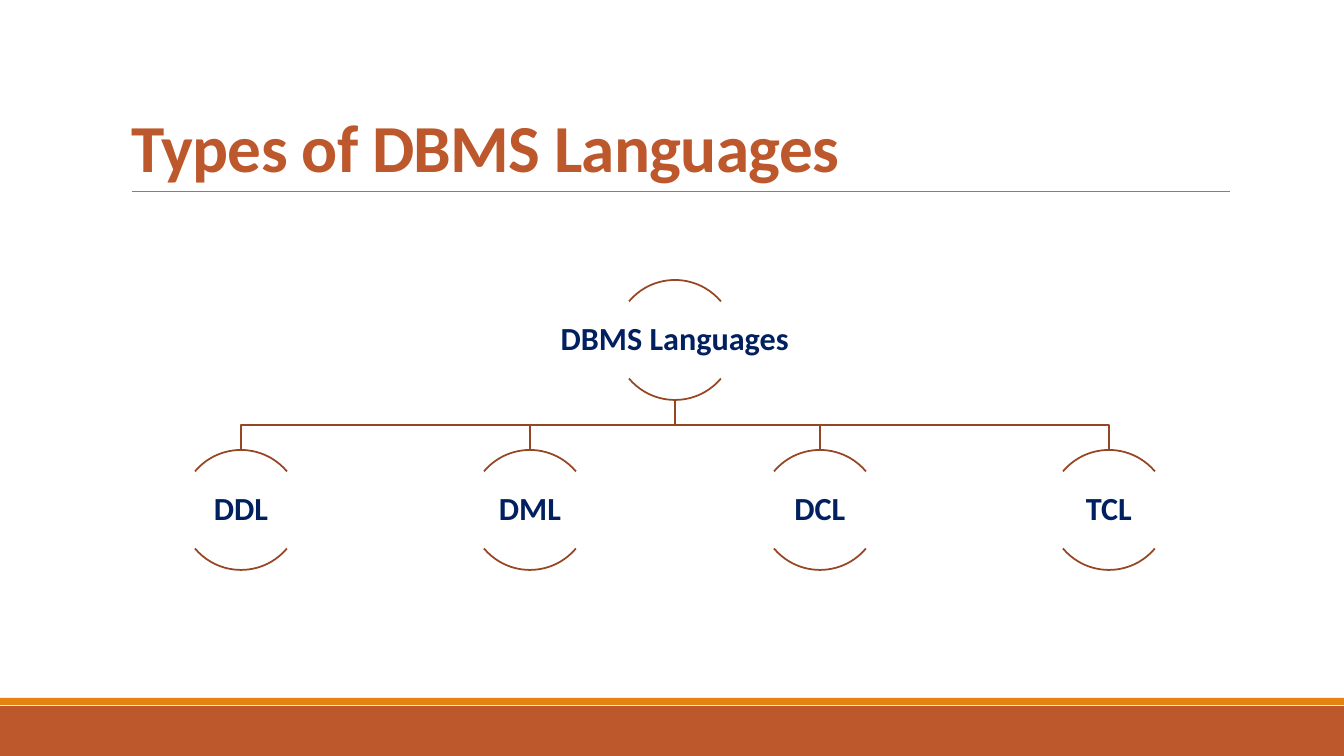
"""Build the slide showing the types of DBMS languages as a tree."""
from pptx import Presentation
from pptx.dml.color import RGBColor
from pptx.enum.shapes import MSO_CONNECTOR, MSO_SHAPE
from pptx.enum.text import MSO_ANCHOR, MSO_AUTO_SIZE, PP_ALIGN
from pptx.util import Emu, Pt
from lxml.etree import SubElement

SCALE = 914400 / 100.8
NS = "{http://schemas.openxmlformats.org/drawingml/2006/main}"
RUST, BROWN, NAVY = "BD582C", "974623", "002060"
CIRCLE, ROOT_X, ROOT_Y, CHILD_Y, STEP = 120, 675, 280, 450, 289.4


def px(*values):
    return [Emu(round(v * SCALE)) for v in values]


def rgb(color):
    return RGBColor.from_string(color)


prs = Presentation()
prs.slide_width, prs.slide_height = px(1344, 756)
s = prs.slides.add_slide(prs.slide_layouts[5])

for top, height, color in [(706, 50, RUST), (698, 7, "E48312")]:
    sp = s.shapes.add_shape(MSO_SHAPE.RECTANGLE, *px(0, top, 1344, height))
    sp.shadow.inherit = False
    sp.fill.solid()
    sp.fill.fore_color.rgb = rgb(color)
    sp.line.fill.background()

rule = s.shapes.add_connector(MSO_CONNECTOR.STRAIGHT, *px(132, 191, 1230, 191))
rule.line.color.rgb = rgb("808080")
rule.line.width = Pt(0.5)
SubElement(rule._element.spPr, NS + "effectLst")

title = s.shapes.title
title.left, title.top, title.width, title.height = px(121, 31, 1109, 160)
tf = title.text_frame
tf.auto_size = MSO_AUTO_SIZE.NONE
tf.vertical_anchor = MSO_ANCHOR.BOTTOM
p = tf.paragraphs[0]
p.alignment = PP_ALIGN.LEFT
p.line_spacing = 0.85
r = p.add_run()
r.text = "Types of DBMS Languages"
r.font.name, r.font.size, r.font.bold = "Calibri", Pt(48), True
r.font.color.rgb = rgb(RUST)
r._r.get_or_add_rPr().set("spc", "-50")

children = [(name, round(ROOT_X + (i - 1.5) * STEP), CHILD_Y)
            for i, name in enumerate(["DDL", "DML", "DCL", "TCL"])]
tree = s.shapes.add_group_shape()

root_bottom = ROOT_Y + CIRCLE
middle = (root_bottom + CHILD_Y) // 2
for name, x, y in reversed(children):
    fb = tree.shapes.build_freeform(ROOT_X, root_bottom, scale=SCALE)
    fb.add_line_segments([(ROOT_X, middle), (x, middle), (x, y)], close=False)
    branch = fb.convert_to_shape()
    branch.shadow.inherit = False
    branch.fill.background()
    branch.line.color.rgb = rgb(BROWN)
    branch.line.width = Pt(1.25)

for name, x, y in [("DBMS Languages", ROOT_X, ROOT_Y)] + children:
    for start, end in [(132, 192), (24, 84)]:
        arc = tree.shapes.add_shape(MSO_SHAPE.ARC, *px(x - CIRCLE / 2, y, CIRCLE, CIRCLE))
        arc.adjustments[0], arc.adjustments[1] = start, end
        arc.shadow.inherit = False
        arc.fill.background()
        arc.line.color.rgb = rgb(BROWN)
        arc.line.width = Pt(1.25)
    label = tree.shapes.add_textbox(*px(x - 120, y + 22, 240, 77))
    tf = label.text_frame
    tf.word_wrap = True
    tf.vertical_anchor = MSO_ANCHOR.MIDDLE
    tf.margin_left, tf.margin_top, tf.margin_right, tf.margin_bottom = px(2, 2, 2, 2)
    p = tf.paragraphs[0]
    p.alignment = PP_ALIGN.CENTER
    p.line_spacing = 0.9
    r = p.add_run()
    r.text = name
    r.font.name, r.font.size, r.font.bold = "Calibri", Pt(23), True
    r.font.color.rgb = rgb(NAVY)

prs.save("out.pptx")
